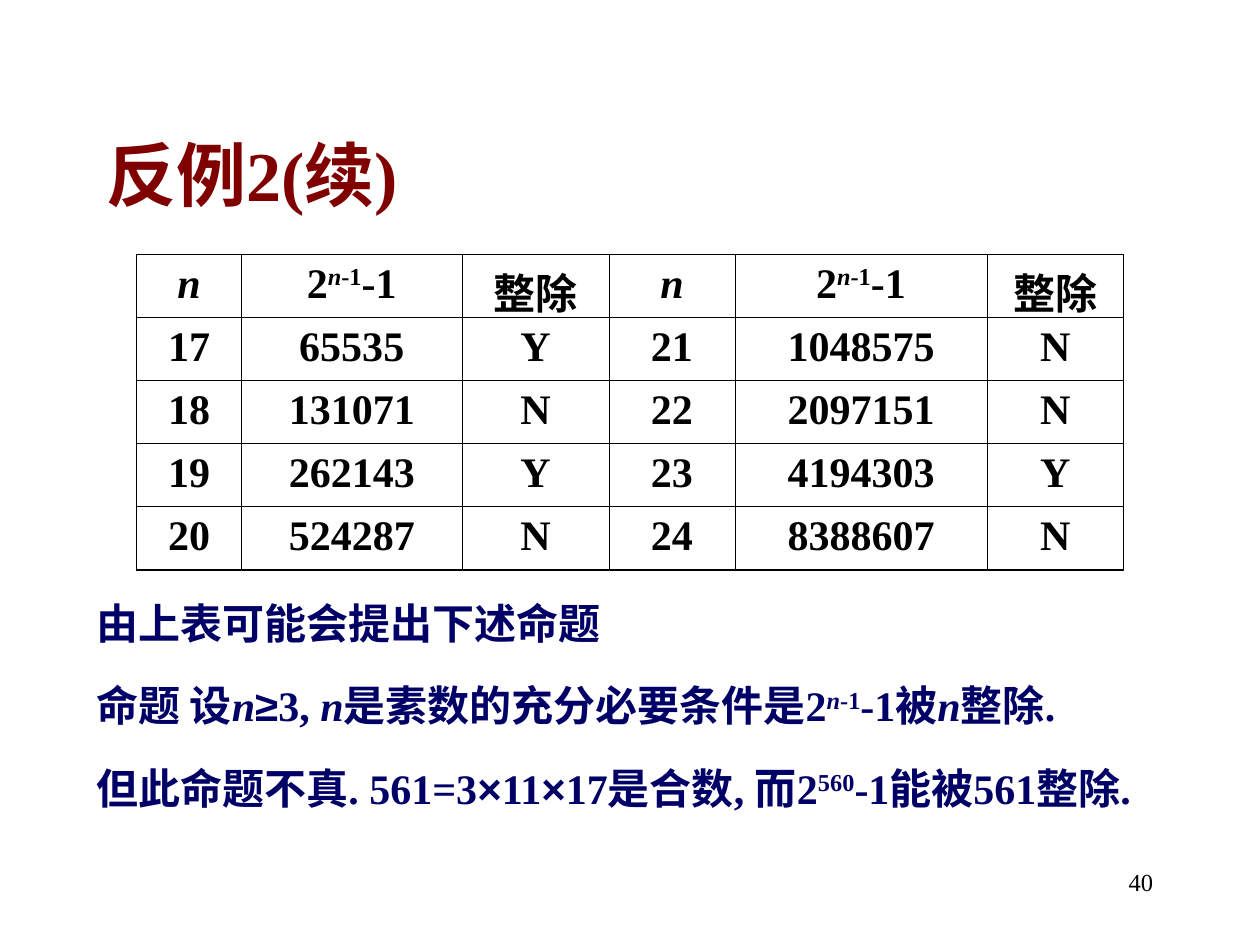
from pptx import Presentation
from pptx.dml.color import RGBColor
from pptx.enum.text import MSO_ANCHOR, PP_ALIGN
from pptx.oxml.ns import qn
from pptx.util import Inches, Pt
from lxml import etree

LEFT, CENTER, RIGHT = PP_ALIGN.LEFT, PP_ALIGN.CENTER, PP_ALIGN.RIGHT
TOP, MIDDLE = MSO_ANCHOR.TOP, MSO_ANCHOR.MIDDLE
COLORS = {"title": "800000", "body": "000066", "ink": "000000", "paper": "FFFFFF"}
SERIF, SANS = "Times New Roman", "Arial"
GRID = Inches(1) / 12
THIN, THICK = 0.45, 1.08

N = ("n", "italic")
POWER = [("2", ""), ("n", "italic super"), ("-1", "super"), ("-1", "")]
HEADER = [[N], POWER, "整除"]
ROWS = [
    HEADER * 2,
    ["17", "65535", "Y", "21", "1048575", "N"],
    ["18", "131071", "N", "22", "2097151", "N"],
    ["19", "262143", "Y", "23", "4194303", "Y"],
    ["20", "524287", "N", "24", "8388607", "N"],
]
COLUMNS = [10, 21, 14, 12, 24, 13]
ROW_HEIGHT = 6
BODY = [
    "由上表可能会提出下述命题",
    [("命题 设", ""), N, ("≥", "sans"), ("3, ", ""), N, ("是素数的充分必要条件是", ""),
     *POWER, ("被", ""), N, ("整除.", "")],
    [("但此命题不真. 561=3", ""), ("×", "sans"), ("11", ""), ("×", "sans"),
     ("17是合数, 而2", ""), ("560", "super"), ("-1能被561整除.", "")],
]


def units(*values):
    """Convert grid units of a twelfth of an inch to lengths."""
    return [round(v * GRID) for v in values]


def write(p, content, size, color, bold=True, align=LEFT):
    """Fill a paragraph with a string or with (text, style) pieces."""
    p.alignment = align
    for text, style in [(content, "")] if isinstance(content, str) else content:
        r = p.add_run()
        r.text = text
        r.font.name = SANS if "sans" in style else SERIF
        r.font.size = Pt(size)
        r.font.bold = bold
        r.font.italic = "italic" in style
        r.font.color.rgb = RGBColor.from_string(COLORS[color])
        if "super" in style:
            r.font._element.set("baseline", "30000")


def add_text(slide, box, paragraphs, size, color, anchor=TOP, **style):
    """Add a wrapping text box and return its paragraphs."""
    tf = slide.shapes.add_textbox(*units(*box)).text_frame
    tf.word_wrap = True
    tf.vertical_anchor = anchor
    for i, content in enumerate(paragraphs):
        p = tf.add_paragraph() if i else tf.paragraphs[0]
        write(p, content, size, color, **style)
    return tf.paragraphs


def add_body(slide, box):
    """Add the statements with hanging indents and tight lines."""
    for p in add_text(slide, box, BODY, 24, "body"):
        p.space_before = Pt(24)
        p.line_spacing = 0.8
        pPr = p._p.get_or_add_pPr()
        pPr.set("marL", str(Inches(0.38)))
        pPr.set("indent", str(-Inches(0.38)))


def set_borders(cell, widths):
    """Draw the left, right, top and bottom cell borders."""
    tcPr = cell._tc.get_or_add_tcPr()
    for side, width in zip("LRTB", widths):
        ln = etree.SubElement(tcPr, qn(f"a:ln{side}"), w=str(Pt(width)))
        fill = etree.SubElement(ln, qn("a:solidFill"))
        etree.SubElement(fill, qn("a:srgbClr"), val=COLORS["ink"])


def add_grid(slide, left, top):
    """Add the divisibility table with a heavier outer frame."""
    rows, cols = len(ROWS), len(COLUMNS)
    box = units(left, top, sum(COLUMNS), rows * ROW_HEIGHT)
    table = slide.shapes.add_table(rows, cols, *box).table
    table.first_row = table.horz_banding = False
    for column, width in zip(table.columns, units(*COLUMNS)):
        column.width = width
    for i, row in enumerate(ROWS):
        for j, content in enumerate(row):
            cell = table.cell(i, j)
            outer = (j == 0, j == cols - 1, i == 0, i == rows - 1)
            set_borders(cell, [THICK if edge else THIN for edge in outer])
            cell.fill.solid()
            cell.fill.fore_color.rgb = RGBColor.from_string(COLORS["paper"])
            p = cell.text_frame.paragraphs[0]
            p.space_before = Pt(6)
            write(p, content, 24, "ink", align=CENTER)


def main():
    """Build and save the slide."""
    prs = Presentation()
    prs.slide_width, prs.slide_height = units(120, 90)
    slide = prs.slides.add_slide(prs.slide_layouts[6])
    add_text(slide, (86, 82, 25, 6), ["40"], 14, "ink", bold=False, align=RIGHT)
    add_text(slide, (9, 8, 102, 17), ["反例2(续)"], 40, "title", anchor=MIDDLE)
    add_body(slide, (8, 57.25, 102, 24.75))
    add_grid(slide, 13, 24.25)
    prs.save("out.pptx")


if __name__ == "__main__":
    main()
